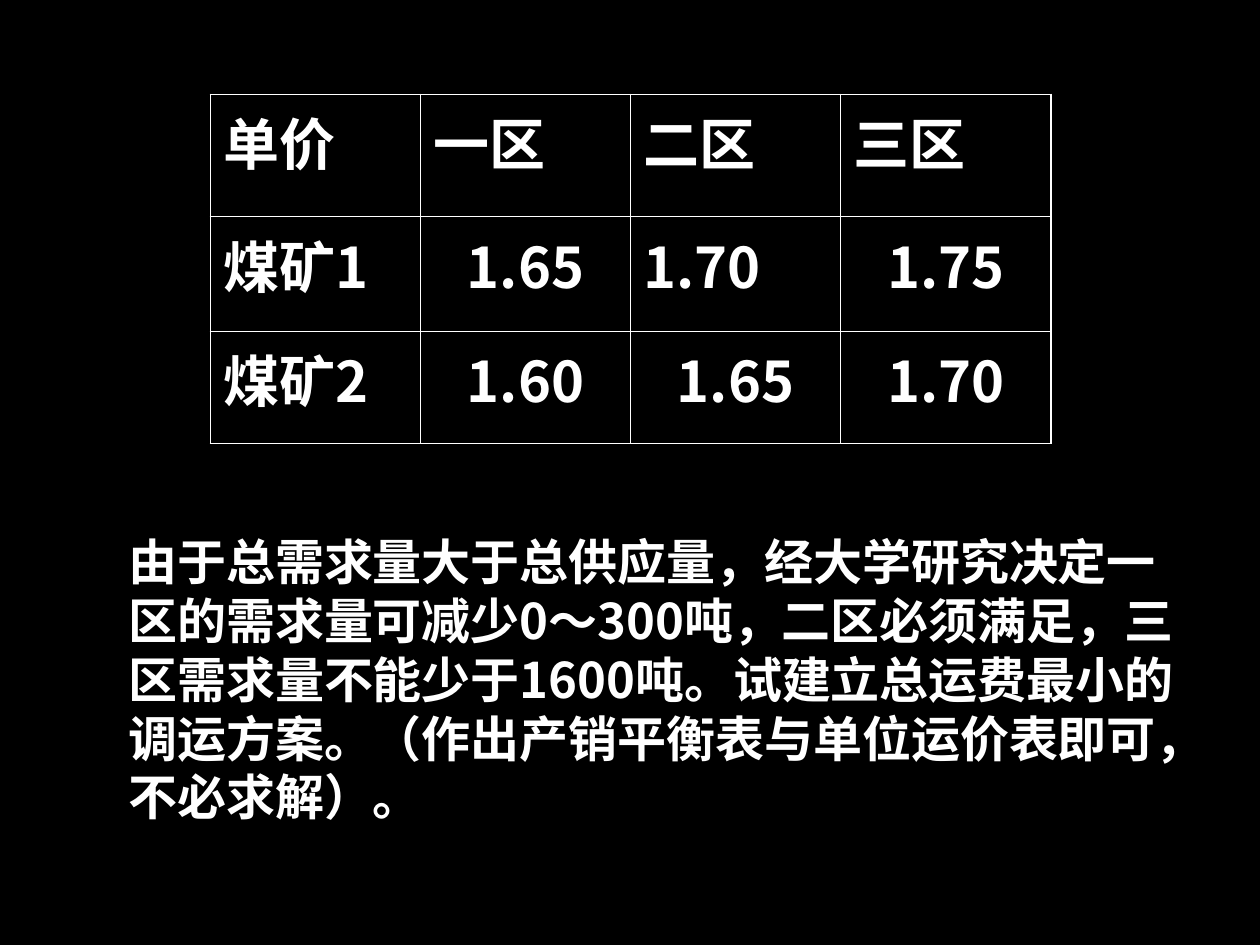
from lxml import etree
from pptx import Presentation
from pptx.dml.color import RGBColor as RGB
from pptx.enum.text import MSO_AUTO_SIZE as AUTO, PP_ALIGN as AL
from pptx.oxml.ns import qn
from pptx.util import Inches, Pt

COLORS = {"bg": "000000", "ink": "FFFFFF"}
FONT = "Noto Sans CJK SC"
THIN, THICK = 0.45, 1.08


def write(p, text, size):
    r = p.add_run()
    r.text = text
    for name, value in {"name": FONT, "size": Pt(size), "bold": True}.items():
        setattr(r.font, name, value)
    r.font.color.rgb = RGB.from_string(COLORS["ink"])
    etree.SubElement(r.font._element, qn("a:ea"), typeface=FONT)


def add_border(cell, side, width):
    ln = etree.SubElement(cell._tc.get_or_add_tcPr(), qn(f"a:{side}"), w=str(Pt(width)))
    fill = etree.SubElement(ln, qn("a:solidFill"))
    etree.SubElement(fill, qn("a:srgbClr"), val=COLORS["ink"])


prs = Presentation()
prs.slide_width, prs.slide_height = Inches(10), Inches(7.5)
s = prs.slides.add_slide(prs.slide_layouts[6])
s.background.fill.solid()
s.background.fill.fore_color.rgb = RGB.from_string(COLORS["bg"])

# Unit price table
prices = [
    ["单价", "一区", "二区", "三区"],
    ["煤矿1", "1.65", "1.70", "1.75"],
    ["煤矿2", "1.60", "1.65", "1.70"],
]
centered = {(1, 1), (1, 3), (2, 1), (2, 2), (2, 3)}
heights = [0.97, 0.91, 0.89]
rows, cols = len(prices), len(prices[0])
table = s.shapes.add_table(rows, cols, Inches(1.67), Inches(0.75),
                           Inches(6.67), Inches(sum(heights))).table
table.first_row = table.horz_banding = False
for i, row in enumerate(prices):
    table.rows[i].height = Inches(heights[i])
    for j, text in enumerate(row):
        cell = table.cell(i, j)
        p = cell.text_frame.paragraphs[0]
        p.alignment = AL.CENTER if (i, j) in centered else AL.LEFT
        write(p, text, 32)
        # Thick outer frame, thin inner lines
        outer = {"lnL": j == 0, "lnR": j == cols - 1, "lnT": i == 0, "lnB": i == rows - 1}
        for side, is_outer in outer.items():
            add_border(cell, side, THICK if is_outer else THIN)
        cell.fill.background()

# Problem statement
tf = s.shapes.add_textbox(Inches(0.92), Inches(4.17), Inches(8.58), Inches(2.44)).text_frame
tf.word_wrap = True
tf.auto_size = AUTO.SHAPE_TO_FIT_TEXT
write(tf.paragraphs[0],
      "由于总需求量大于总供应量，经大学研究决定一区的需求量可减少0～300吨，"
      "二区必须满足，三区需求量不能少于1600吨。试建立总运费最小的调运方案。"
      "（作出产销平衡表与单位运价表即可，不必求解）。", 28)

prs.save("out.pptx")
